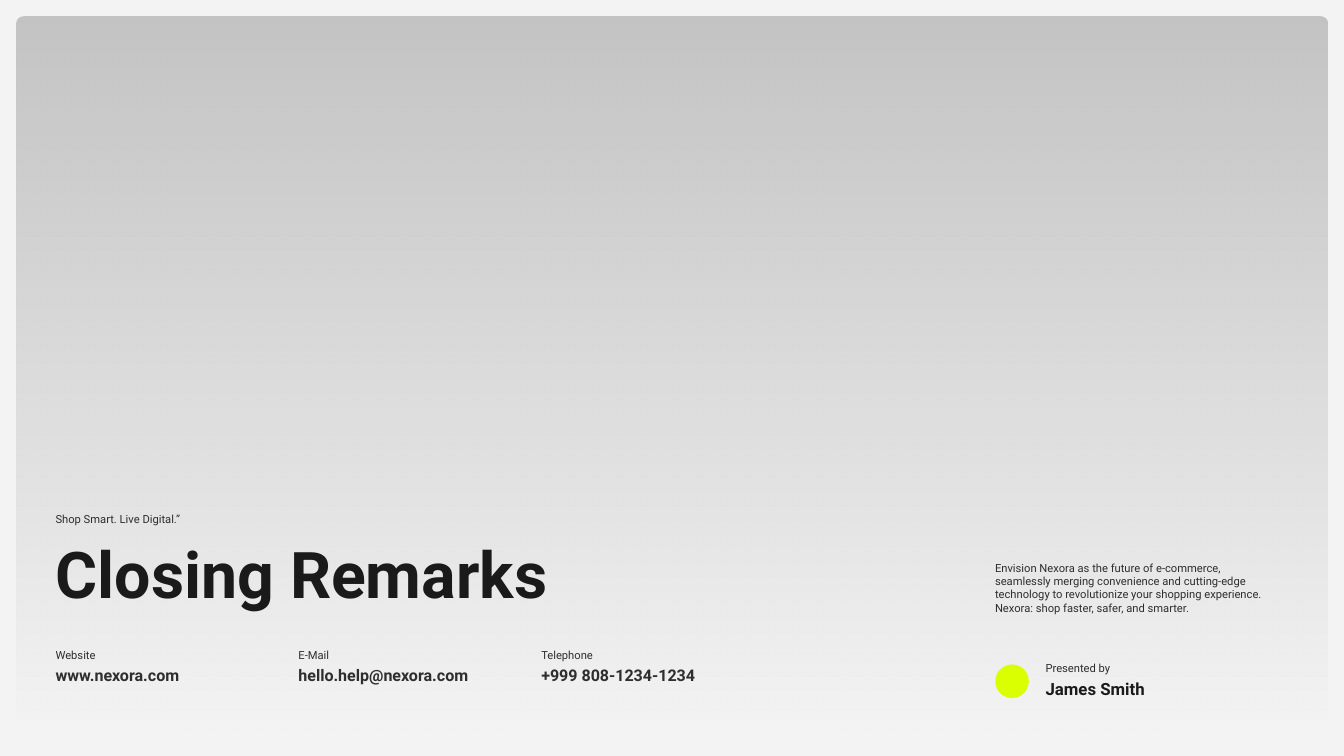
from dataclasses import dataclass

from lxml.etree import SubElement
from pptx import Presentation
from pptx.dml.color import RGBColor
from pptx.enum.shapes import MSO_SHAPE
from pptx.enum.text import MSO_AUTO_SIZE
from pptx.oxml.ns import qn
from pptx.util import Cm, Pt


@dataclass(frozen=True)
class Theme:
    font: str = "Roboto"
    paper: str = "F3F3F3"
    shade: str = "000000"
    dark: str = "1A1A1A"
    text: str = "2E2E2E"
    lime: str = "D9FF00"
    small: float = 12
    value: float = 17.2
    name: float = 18
    title: float = 69


THEME = Theme()
WIDTH, HEIGHT, MARGIN = 50.8, 28.58, 0.64
LEFT, STEP = 1.85, 9.18
CONTACTS = [
    ("Website", 2.24, "www.nexora.com", 6.02),
    ("E-Mail", 1.78, "hello.help@nexora.com", 7.72),
    ("Telephone", 2.67, "+999 808-1234-1234", 6.81),
]
ABOUT = [
    "Envision Nexora as the future of e-commerce,",
    "seamlessly merging convenience and cutting-edge",
    "technology to revolutionize your shopping experience.",
    "Nexora: shop faster, safer, and smarter.",
]


def color(code):
    return RGBColor.from_string(code)


def add_text(slide, box, lines, size=THEME.small, ink=THEME.text,
             bold=False, wrap=False):
    frame = slide.shapes.add_textbox(*map(Cm, box)).text_frame
    frame.word_wrap = wrap
    frame.auto_size = MSO_AUTO_SIZE.SHAPE_TO_FIT_TEXT
    frame.text = "\n".join(lines)
    for para in frame.paragraphs:
        for run in para.runs:
            run.font.name = THEME.font
            run.font.size = Pt(size)
            run.font.bold = bold
            run.font.color.rgb = color(ink)


def add_pair(slide, left, top, label, label_w, value, value_w, **style):
    """Put a small label above a bold value."""
    add_text(slide, (left, top, label_w, 0.77), [label])
    add_text(slide, (left, top + 0.64, value_w, 1), [value], bold=True, **style)


def add_plain(slide, kind, box):
    shape = slide.shapes.add_shape(kind, *map(Cm, box))
    shape.shadow.inherit = False
    shape.line.fill.background()
    return shape


def add_panel(slide):
    """Draw the rounded panel that fades out towards the bottom."""
    box = (MARGIN, MARGIN, WIDTH - 2 * MARGIN, HEIGHT - 2 * MARGIN)
    panel = add_plain(slide, MSO_SHAPE.ROUNDED_RECTANGLE, box)
    panel.adjustments[0] = 0.01
    panel.fill.gradient()
    panel.fill.gradient_angle = 270
    for stop in panel.fill.gradient_stops:
        stop.color.rgb = color(THEME.shade)
    tints = panel.element.spPr.iter(qn("a:srgbClr"))
    for tint, alpha in zip(list(tints), (20, 0)):
        SubElement(tint, qn("a:alpha")).set("val", str(alpha * 1000))


def add_badge(slide):
    badge = add_plain(slide, MSO_SHAPE.OVAL, (37.62, 25.12, 1.27, 1.27))
    badge.fill.solid()
    badge.fill.fore_color.rgb = color(THEME.lime)


def main():
    deck = Presentation()
    deck.slide_width, deck.slide_height = Cm(WIDTH), Cm(HEIGHT)
    slide = deck.slides.add_slide(deck.slide_layouts[6])
    slide.background.fill.solid()
    slide.background.fill.fore_color.rgb = color(THEME.paper)

    add_panel(slide)
    add_text(slide, (LEFT, 19.25, 5.51, 0.79), ["Shop Smart. Live Digital.”"])
    add_text(slide, (LEFT, 20.07, 20.45, 3.2), ["Closing Remarks"],
             size=THEME.title, ink=THEME.dark, bold=True)
    for index, contact in enumerate(CONTACTS):
        add_pair(slide, LEFT + index * STEP, 24.38, *contact, size=THEME.value)
    add_badge(slide)
    add_pair(slide, 39.27, 24.89, "Presented by", 3.23, "James Smith", 4.34,
             size=THEME.name, ink=THEME.dark)
    add_text(slide, (37.36, 21.08, 12.45, 2.31), ABOUT, wrap=True)

    deck.save("out.pptx")


if __name__ == "__main__":
    main()
